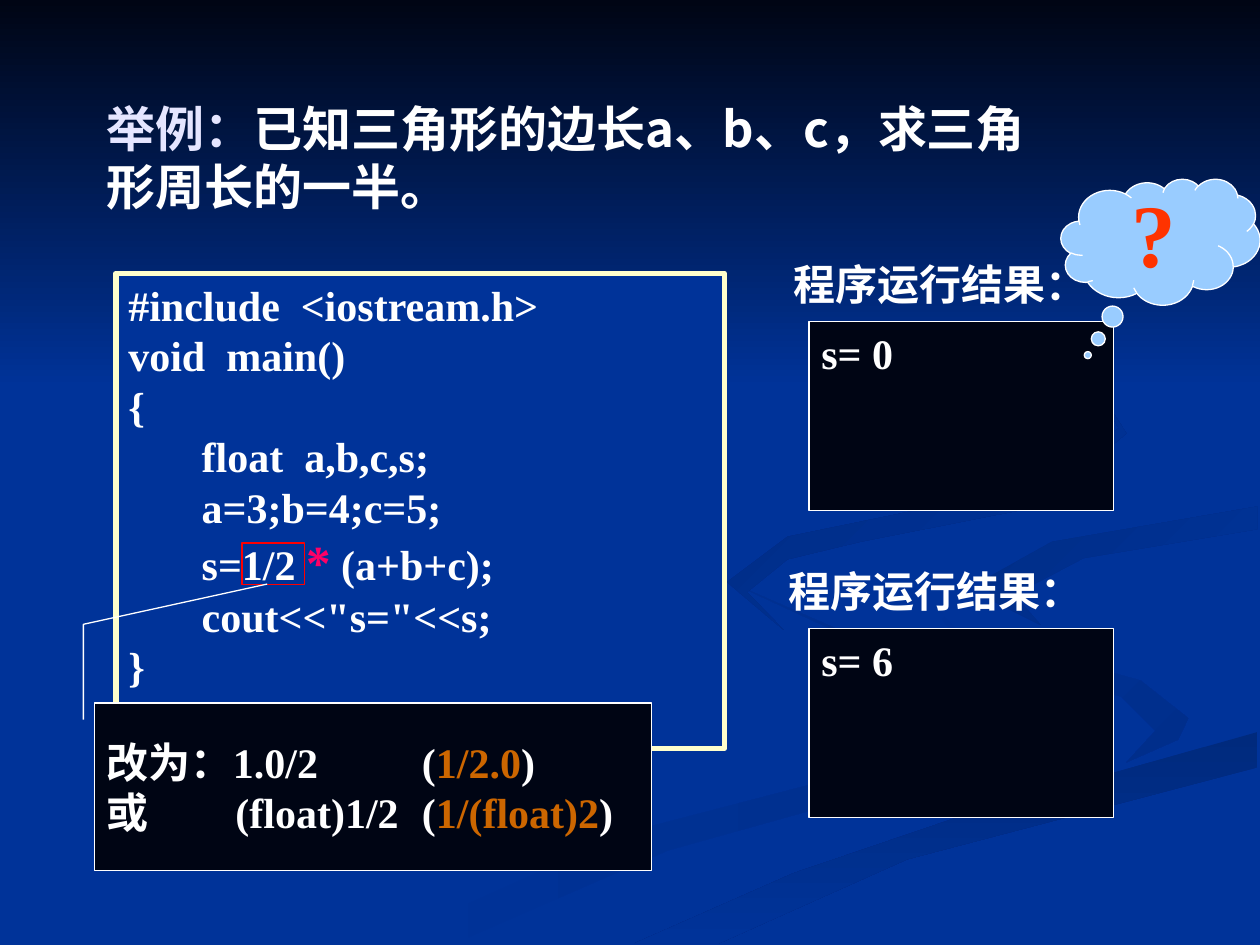
"""Build a slide on integer division in a C++ triangle perimeter program."""
from lxml.etree import SubElement
from pptx import Presentation
from pptx.dml.color import RGBColor
from pptx.enum.shapes import MSO_SHAPE
from pptx.enum.text import MSO_ANCHOR, PP_ALIGN
from pptx.oxml.ns import qn
from pptx.util import Inches, Pt

COLORS = {
    "blue": "003399", "night": "000514", "white": "FFFFFF", "lilac": "E5E5FF",
    "cream": "FFFFCC", "sky": "99CCFF", "red": "FF0000", "query": "FF3300",
    "pink": "FF0066", "orange": "CC6600", "shade1": "002E8B",
    "shade2": "002A7D", "shade3": "002D86", "shade4": "002B82",
}
SERIF, SANS, LABEL = "Times New Roman", "Noto Sans CJK SC", "Cabin"

TITLE = [[("举例：", "lilac", 28), ("已知三角形的边长a、b、c，求三角形周长的一半。", "white", 28)]]
CODE = [
    "#include  <iostream.h>",
    "void  main()",
    "{",
    "       float  a,b,c,s;",
    "       a=3;b=4;c=5;",
    [("       s=1/2 ", "white", 24), ("*", "pink", 28), (" (a+b+c);", "white", 24)],
    "       cout<<\"s=\"<<s;",
    "}",
]
FIX = [
    [("改为：1.0/2\t(", "white", 24), ("1/2.0", "orange", 24), (")", "white", 24)],
    [("或\t(float)1/2\t(", "white", 24), ("1/(float)2", "orange", 24), (")", "white", 24)],
]
FIX_TABS = (1.02, 2.5)
RESULT_LABEL = "程序运行结果："
RESULTS = [("s= 0", 2.55, (6.1, 2, 2.73, 0.5)), ("s= 6", 4.99, (6.02, 4.44, 2.81, 0.5))]

SWIRLS = [
    ("blue", "shade1", 0, [
        (7.8, 5.5), (5.75, 4.6), (7.8, 5.55), (7.5, 5.95), (5, 6.6), (3, 7.49),
        (3.6, 7.49), (5.3, 6.75), (7.8, 6.05), (8, 5.8)]),
    ("blue", "shade1", 45, [
        (9.43, 5.7), (9.05, 5.4), (7.6, 5), (7.24, 4.64), (7.65, 5.12), (8.9, 5.53),
        (9.17, 5.8), (8.94, 6.05), (9.35, 5.87)]),
    ("shade2", "blue", 90, [
        (5.03, 7.49), (5.7, 7.49), (7.2, 6.82), (9.98, 6.09), (9.98, 5.81), (7.65, 6.47),
        (6.3, 6.93)]),
    ("shade3", "blue", 45, [
        (7.81, 4.6), (7.9, 4.78), (8.26, 4.96), (8.05, 4.72), (8.6, 4.43), (9.98, 4.2),
        (9.98, 4.02), (8.35, 4.3)]),
    ("shade4", "blue", 45, [
        (6.83, 4.3), (8.25, 4.02), (8.94, 3.44), (8.55, 2.83), (7.62, 2.33), (8.6, 2.92),
        (8.88, 3.4), (8.2, 3.86), (6.25, 4.26), (5.77, 4.62), (6.22, 5), (5.93, 4.7),
        (6.25, 4.44)]),
]


def rgb(name):
    return RGBColor.from_string(COLORS[name])


def shade(sp, start, end, angle):
    sp.shadow.inherit = False
    sp.line.fill.background()
    sp.fill.gradient()
    sp.fill.gradient_angle = (360 - angle) % 360
    for stop, color in zip(sp.fill.gradient_stops, (start, end)):
        stop.color.rgb = rgb(color)


def add_swirl(s, start, end, angle, points):
    pts = [(Inches(x), Inches(y)) for x, y in points]
    builder = s.shapes.build_freeform(*pts[0])
    builder.add_line_segments(pts[1:], close=True)
    shade(builder.convert_to_shape(), start, end, angle)


def write(sp, lines, font=SERIF, align=PP_ALIGN.LEFT, anchor=MSO_ANCHOR.TOP, tabs=()):
    tf = sp.text_frame
    tf.word_wrap = True
    tf.vertical_anchor = anchor
    for i, line in enumerate(lines):
        p = tf.add_paragraph() if i else tf.paragraphs[0]
        p.alignment = align
        if tabs:
            tab_list = SubElement(p._p.get_or_add_pPr(), qn("a:tabLst"))
            for pos in tabs:
                SubElement(tab_list, qn("a:tab"), pos=str(Inches(pos)), algn="l")
        runs = [(line, "white", 24)] if isinstance(line, str) else line
        for text, color, size in runs:
            r = p.add_run()
            r.text = text
            r.font.size = Pt(size)
            r.font.bold = True
            r.font.color.rgb = rgb(color)
            r.font.name = font
            SubElement(r._r.get_or_add_rPr(), qn("a:ea"), typeface=SANS)


def add_panel(s, kind, box, fill, line="white", width=0.75):
    sp = s.shapes.add_shape(kind, *map(Inches, box))
    sp.shadow.inherit = False
    if fill:
        sp.fill.solid()
        sp.fill.fore_color.rgb = rgb(fill)
    else:
        sp.fill.background()
    sp.line.color.rgb = rgb(line)
    sp.line.width = Pt(width)
    return sp


def adjust(sp, values):
    for i, value in enumerate(values):
        sp.adjustments[i] = value


def add_label(s, box, lines, **style):
    write(s.shapes.add_textbox(*map(Inches, box)), lines, **style)


def add_result(s, text, top, label_box):
    write(add_panel(s, MSO_SHAPE.RECTANGLE, (6.42, top, 2.42, 1.5), "night"), [text])
    add_label(s, label_box, [RESULT_LABEL], font=LABEL, align=PP_ALIGN.CENTER)


def main():
    prs = Presentation()
    prs.slide_width, prs.slide_height = Inches(10), Inches(7.5)
    s = prs.slides.add_slide(prs.slide_layouts[6])
    s.background.fill.solid()
    s.background.fill.fore_color.rgb = rgb("blue")
    for swirl in SWIRLS:
        add_swirl(s, *swirl)
    sky = s.shapes.add_shape(MSO_SHAPE.RECTANGLE, 0, 0, prs.slide_width, Inches(3.08))
    shade(sky, "night", "blue", 90)

    add_label(s, (0.75, 0.73, 7.56, 1.13), TITLE, font=SANS)
    code = add_panel(s, MSO_SHAPE.RECTANGLE, (0.92, 2.17, 4.83, 3.77), "blue", "cream", 3)
    write(code, CODE)

    add_result(s, *RESULTS[0])
    cloud = add_panel(s, MSO_SHAPE.CLOUD_CALLOUT, (8.42, 1.42, 1.58, 1), "sky")
    adjust(cloud, (-0.365, 0.899))
    write(cloud, [[("?", "query", 51)]], align=PP_ALIGN.CENTER, anchor=MSO_ANCHOR.MIDDLE)
    cloud.text_frame.paragraphs[0].line_spacing = 0.9
    add_panel(s, MSO_SHAPE.RECTANGLE, (1.92, 4.31, 0.5, 0.33), None, "red")
    add_result(s, *RESULTS[1])

    fix = add_panel(s, MSO_SHAPE.LINE_CALLOUT_2, (0.75, 5.58, 4.42, 1.33), "night")
    adjust(fix, (0.1, -0.02, -0.47, -0.02, -0.71, 0.31))
    write(fix, FIX, anchor=MSO_ANCHOR.MIDDLE, tabs=FIX_TABS)
    prs.save("out.pptx")


if __name__ == "__main__":
    main()
